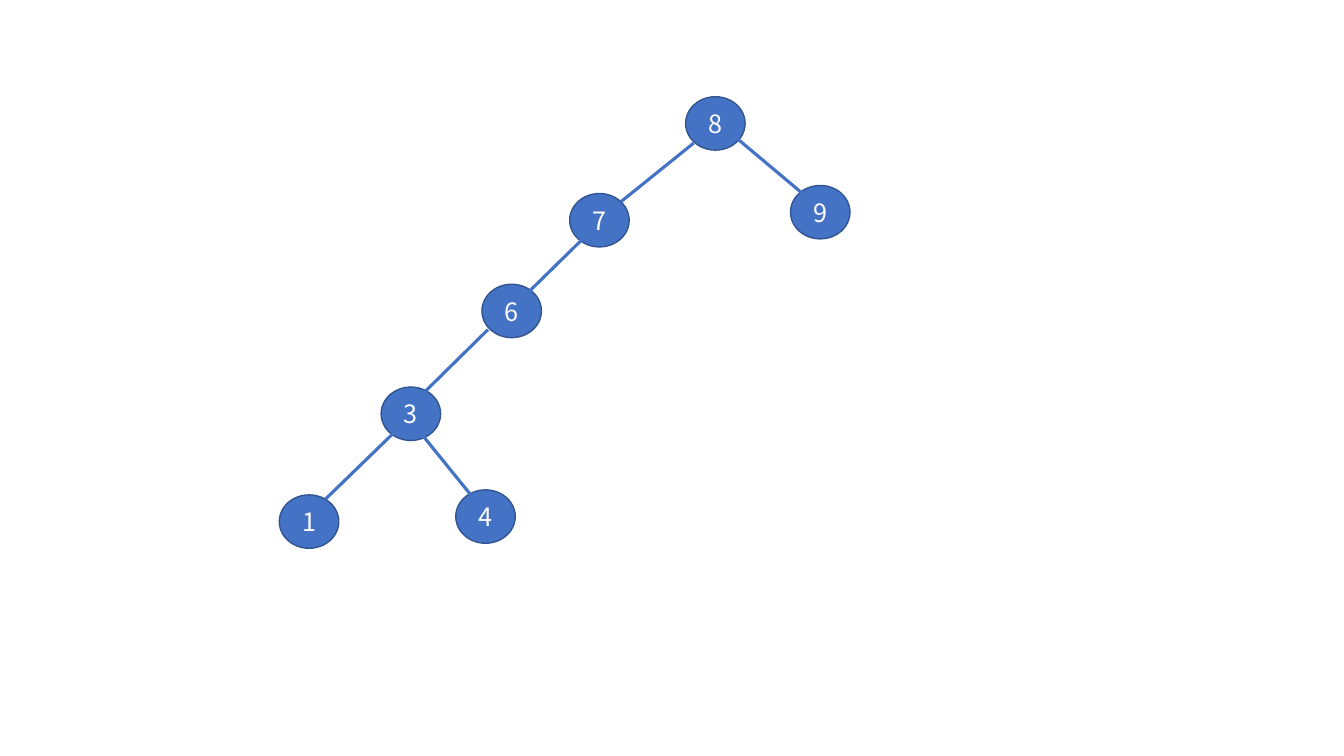
"""Build a slide showing a left-leaning binary search tree."""
from lxml import etree
from pptx import Presentation
from pptx import util as u
from pptx.dml.color import RGBColor
from pptx.enum import shapes, text
from pptx.oxml import ns

COLORS = {"node": "4472C4", "outline": "325491", "label": "FFFFFF"}
NODE_WIDTH, NODE_HEIGHT = 0.59, 0.53


def write_text(shape, label, size=18, color="label", font="Noto Sans CJK SC"):
    frame = shape.text_frame
    frame.vertical_anchor = text.MSO_ANCHOR.MIDDLE
    para = frame.paragraphs[0]
    para.alignment = text.PP_ALIGN.CENTER
    span = para.add_run()
    span.text = label
    span.font.size = u.Pt(size)
    span.font.name = font
    span.font.color.rgb = RGBColor.from_string(COLORS[color])


deck = Presentation()
deck.slide_width = u.Inches(13.33)
deck.slide_height = u.Inches(7.5)
page = deck.slides.add_slide(deck.slide_layouts[6])

nodes = {
    "8": (6.8, 0.96),
    "9": (7.84, 1.84),
    "7": (5.65, 1.92),
    "4": (4.52, 4.86),
    "1": (2.77, 4.91),
    "3": (3.78, 3.84),
    "6": (4.78, 2.82),
}
for key, (left, top) in nodes.items():
    node = page.shapes.add_shape(
        shapes.MSO_SHAPE.OVAL,
        u.Inches(left), u.Inches(top), u.Inches(NODE_WIDTH), u.Inches(NODE_HEIGHT),
    )
    node.shadow.inherit = False
    node.fill.solid()
    node.fill.fore_color.rgb = RGBColor.from_string(COLORS["node"])
    node.line.color.rgb = RGBColor.from_string(COLORS["outline"])
    node.line.width = u.Pt(1)
    write_text(node, key)

edges = [
    (6.88, 1.42, 6.16, 2),
    (5.77, 2.38, 5.25, 2.89),
    (4.84, 3.27, 4.2, 3.9),
    (3.91, 4.29, 3.23, 4.95),
    (4.2, 4.33, 4.67, 4.91),
    (7.27, 1.34, 7.96, 1.92),
]
for ends in edges:
    edge = page.shapes.add_connector(
        shapes.MSO_CONNECTOR.STRAIGHT, *[u.Inches(value) for value in ends]
    )
    edge.line.color.rgb = RGBColor.from_string(COLORS["node"])
    edge.line.width = u.Pt(2.25)
    etree.SubElement(edge._element.spPr, ns.qn("a:effectLst"))

deck.save("out.pptx")
